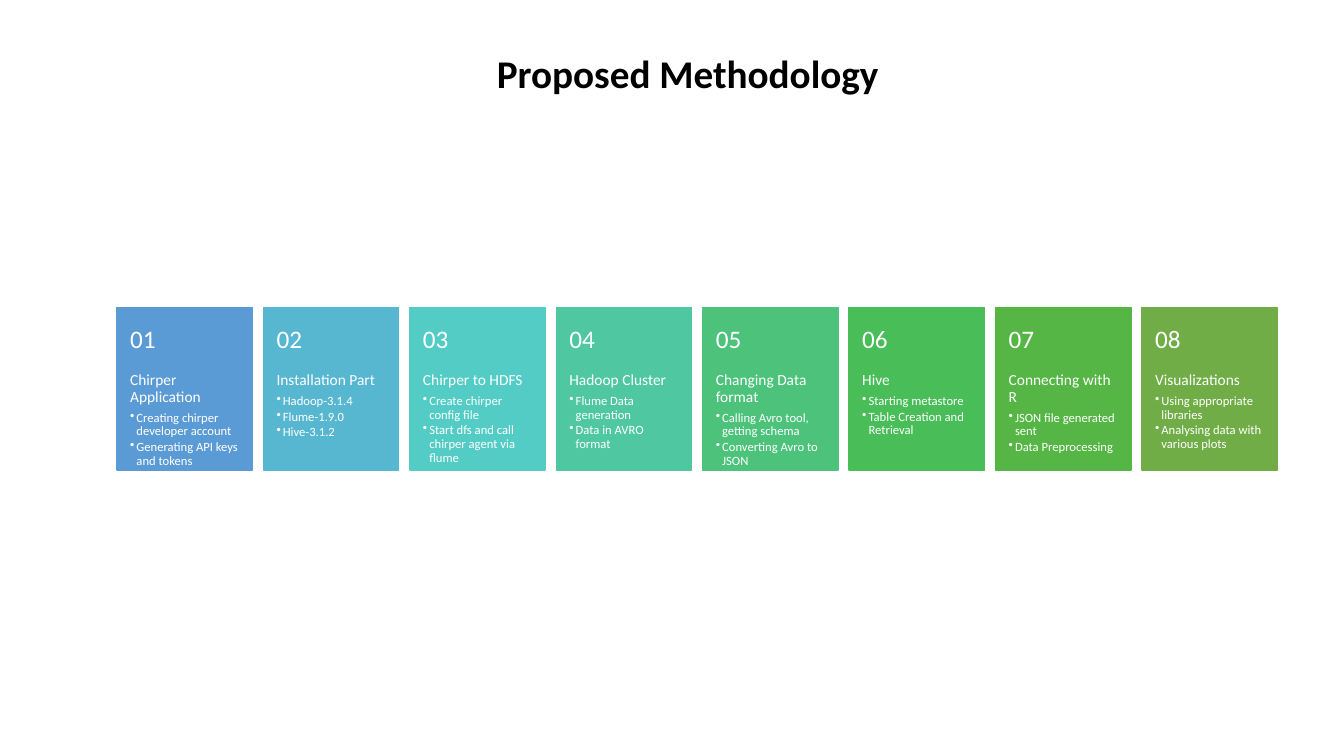
from dataclasses import dataclass

from lxml import etree
from pptx import Presentation
from pptx.dml.color import RGBColor
from pptx.enum.shapes import MSO_SHAPE
from pptx.enum.text import MSO_ANCHOR, MSO_AUTO_SIZE, PP_ALIGN
from pptx.oxml.ns import qn
from pptx.shapes.shapetree import GroupShapes
from pptx.slide import Slide
from pptx.text.text import TextFrame, _Paragraph
from pptx.util import Cm, Pt

RECTANGLE = MSO_SHAPE.RECTANGLE
TOP, MIDDLE = MSO_ANCHOR.TOP, MSO_ANCHOR.MIDDLE
CENTER = PP_ALIGN.CENTER
GROW = MSO_AUTO_SIZE.SHAPE_TO_FIT_TEXT

WHITE = RGBColor(0xFF, 0xFF, 0xFF)
BLACK = RGBColor(0x00, 0x00, 0x00)
BLUE = RGBColor(0x5B, 0x9B, 0xD5)
SKY = RGBColor(0x57, 0xB7, 0xD1)
TURQUOISE = RGBColor(0x53, 0xCC, 0xC5)
MINT = RGBColor(0x4F, 0xC7, 0xA0)
JADE = RGBColor(0x4C, 0xC2, 0x7B)
GREEN = RGBColor(0x48, 0xBD, 0x58)
LEAF = RGBColor(0x55, 0xB6, 0x46)
OLIVE = RGBColor(0x70, 0xAD, 0x47)

FONT = "Calibri"

# Card grid
FIRST_LEFT, CARD_TOP = Cm(2.95), Cm(7.75)
CARD_WIDTH, CARD_HEIGHT = Cm(3.41), Cm(4.1)
CARD_PITCH = Cm(3.69)
NUMBER_HEIGHT = Cm(1.64)
BULLET_INDENT = Cm(0.16)

SIDE_MARGINS = {"margin_left": Cm(0.33), "margin_right": Cm(0.33), "word_wrap": True}
NUMBER_FRAME = SIDE_MARGINS | {
    "margin_top": Cm(0.46), "margin_bottom": Cm(0.46), "vertical_anchor": MIDDLE}
DETAIL_FRAME = SIDE_MARGINS | {
    "margin_top": Cm(0), "margin_bottom": Cm(0.91), "vertical_anchor": TOP}


@dataclass(frozen=True)
class Step:
    heading: str
    details: tuple[str, ...]
    color: RGBColor


STEPS = (
    Step("Chirper Application",
         ("Creating chirper developer account", "Generating API keys and tokens"), BLUE),
    Step("Installation Part", ("Hadoop-3.1.4", "Flume-1.9.0", "Hive-3.1.2"), SKY),
    Step("Chirper to HDFS",
         ("Create chirper config file", "Start dfs and call chirper agent via flume"),
         TURQUOISE),
    Step("Hadoop Cluster", ("Flume Data generation", "Data in AVRO format"), MINT),
    Step("Changing Data format",
         ("Calling Avro tool, getting schema", "Converting Avro to JSON"), JADE),
    Step("Hive", ("Starting metastore", "Table Creation and Retrieval"), GREEN),
    Step("Connecting with R", ("JSON file generated sent", "Data Preprocessing"), LEAF),
    Step("Visualizations",
         ("Using appropriate libraries", "Analysing data with various plots"), OLIVE),
)


def apply_format(target: object, values: dict) -> None:
    for name, value in values.items():
        setattr(target, name, value)


def write(paragraph: _Paragraph, text: str, size: float, color: RGBColor = WHITE,
          bold: bool = False) -> None:
    run = paragraph.add_run()
    run.text = text
    apply_format(run.font, {"name": FONT, "size": Pt(size), "bold": bold})
    run.font.color.rgb = color


def write_card_line(paragraph: _Paragraph, text: str, size: float, gap: float) -> None:
    """Write tight card text followed by a gap given as a share of its size."""
    apply_format(paragraph, {"line_spacing": 0.9, "space_after": Pt(round(gap * size, 2))})
    write(paragraph, text, size)


def add_bullet(paragraph: _Paragraph) -> None:
    paragraph.level = 1
    properties = paragraph._p.get_or_add_pPr()
    properties.set("marL", str(int(BULLET_INDENT)))
    properties.set("indent", str(-int(BULLET_INDENT)))
    etree.SubElement(properties, qn("a:buChar")).set("char", "•")


def add_card_text(shapes: GroupShapes, left: int, top: int, height: int,
                  frame_format: dict) -> TextFrame:
    frame = shapes.add_textbox(left, top, CARD_WIDTH, height).text_frame
    apply_format(frame, frame_format)
    return frame


def draw_step(slide: Slide, index: int, step: Step) -> None:
    card = slide.shapes.add_group_shape().shapes
    left = FIRST_LEFT + index * CARD_PITCH

    # Coloured card
    panel = card.add_shape(RECTANGLE, left, CARD_TOP, CARD_WIDTH, CARD_HEIGHT)
    panel.shadow.inherit = False
    panel.fill.solid()
    panel.fill.fore_color.rgb = step.color
    panel.line.color.rgb = step.color
    panel.line.width = Pt(1)

    # Heading and bullets
    details = add_card_text(card, left, CARD_TOP + NUMBER_HEIGHT,
                            CARD_HEIGHT - NUMBER_HEIGHT, DETAIL_FRAME)
    write_card_line(details.paragraphs[0], step.heading, 11, 0.35)
    for detail in step.details:
        paragraph = details.add_paragraph()
        write_card_line(paragraph, detail, 9, 0.15)
        add_bullet(paragraph)

    # Step number
    number = add_card_text(card, left, CARD_TOP, NUMBER_HEIGHT, NUMBER_FRAME)
    write_card_line(number.paragraphs[0], f"{index + 1:02}", 18, 0.35)


def draw_title(slide: Slide) -> None:
    title = slide.shapes.add_textbox(Cm(2.84), Cm(1.12), Cm(28.98), Cm(1.45)).text_frame
    apply_format(title, {"word_wrap": True, "auto_size": GROW})
    title.paragraphs[0].alignment = CENTER
    write(title.paragraphs[0], "Proposed Methodology", 28, BLACK, bold=True)


def main() -> None:
    presentation = Presentation()
    apply_format(presentation, {"slide_width": Cm(33.87), "slide_height": Cm(19.05)})
    slide = presentation.slides.add_slide(presentation.slide_layouts[6])
    for index, step in enumerate(STEPS):
        draw_step(slide, index, step)
    draw_title(slide)
    presentation.save("out.pptx")


if __name__ == "__main__":
    main()
